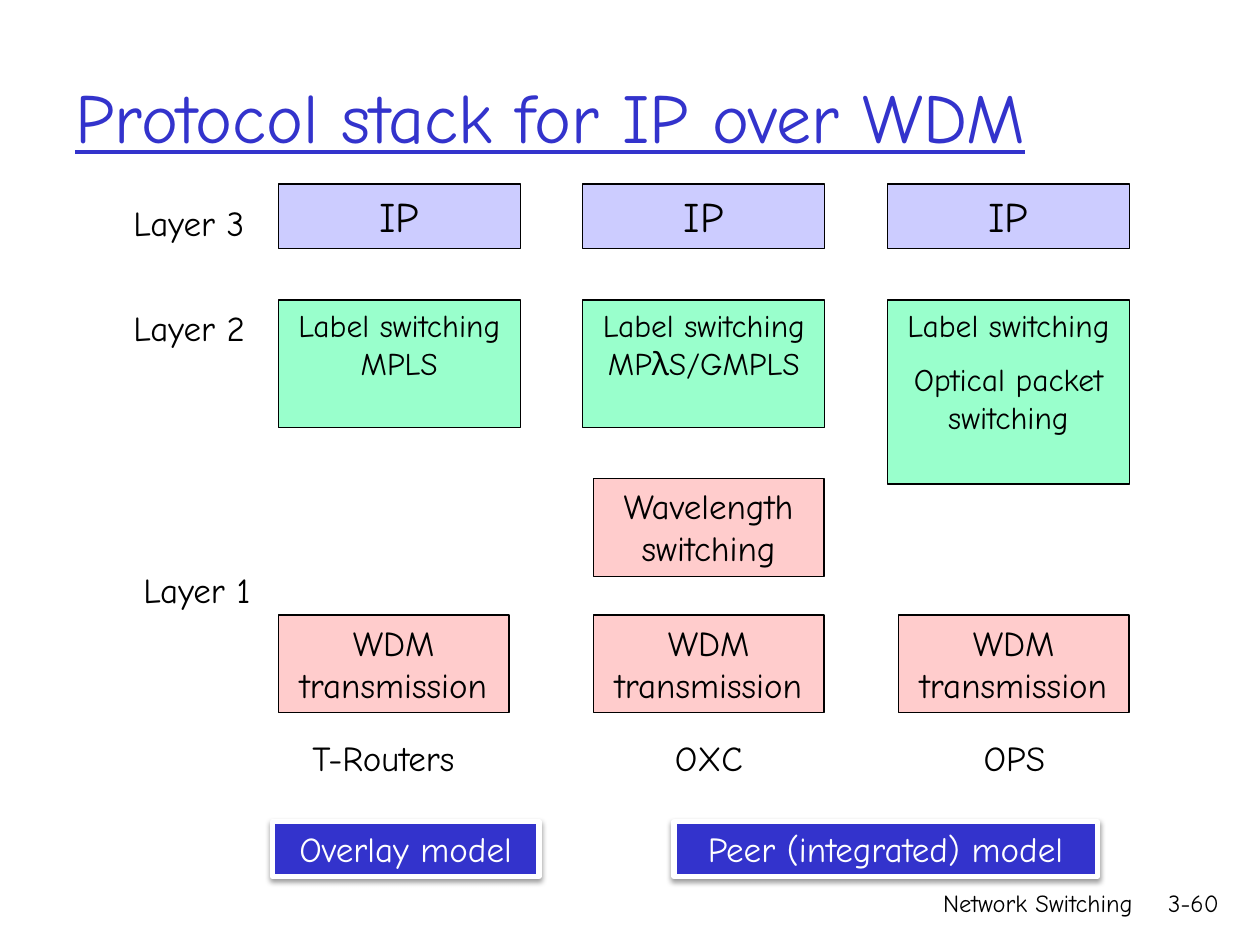
from lxml.etree import SubElement
from pptx import Presentation
from pptx.dml.color import RGBColor
from pptx.enum.shapes import MSO_SHAPE
from pptx.enum.text import MSO_ANCHOR, MSO_AUTO_SIZE, PP_ALIGN
from pptx.oxml.ns import qn
from pptx.util import Cm, Pt


def color(value):
    return RGBColor.from_string(value)


def add_box(text, place, size, fill=None, ink="000000", line="000000", weight=0.75,
            align=PP_ALIGN.LEFT, grow=True, underline=None):
    lengths = [Cm(length) for length in place]
    if fill:
        box = page.shapes.add_shape(MSO_SHAPE.RECTANGLE, *lengths)
        box.shadow.inherit = False
        box.fill.solid()
        box.fill.fore_color.rgb = color(fill)
        box.line.color.rgb = color(line)
        box.line.width = Pt(weight)
    else:
        box = page.shapes.add_textbox(*lengths)
    frame = box.text_frame
    frame_format = {
        "word_wrap": True,
        "vertical_anchor": MSO_ANCHOR.TOP,
        "auto_size": MSO_AUTO_SIZE.SHAPE_TO_FIT_TEXT if grow else MSO_AUTO_SIZE.NONE,
    }
    for name, value in frame_format.items():
        setattr(frame, name, value)
    for index, words in enumerate(text.split("\n")):
        para = frame.add_paragraph() if index else frame.paragraphs[0]
        para.alignment = align
        para.space_before = Pt(size / 2 if index else 0)
        span = para.add_run()
        span.text = words
        span.font.color.rgb = color(ink)
        font_format = {"name": "Comic Neue", "size": Pt(size), "underline": underline}
        for name, value in font_format.items():
            setattr(span.font, name, value)
    return box


deck = Presentation()
deck.slide_width, deck.slide_height = Cm(25.4), Cm(19.05)
page = deck.slides.add_slide(deck.slide_layouts[6])

title = add_box("Protocol stack for IP over WDM", (1.27, 1.27, 23.06, 2.11), 40,
                ink="3333CC", grow=False, underline=True)
title.text_frame.vertical_anchor = MSO_ANCHOR.MIDDLE

stacks = [
    ("Label switching MPLS", 2.57),
    ("Label switching MPλS/GMPLS", 2.57),
    ("Label switching\nOptical packet switching", 3.71),
]
for column, (switching, height) in enumerate(stacks):
    left = 5.61 + 6.14 * column
    add_box("IP", (left, 3.71, 4.88, 1.3), 24, "CCCCFF", align=PP_ALIGN.CENTER)
    add_box(switching, (left, 6.05, 4.88, height), 18, "99FFCC",
            align=PP_ALIGN.CENTER, grow=False)

optical_boxes = [
    ("Wavelength switching", 11.96, 9.65),
    ("WDM transmission", 5.61, 12.4),
    ("WDM transmission", 11.96, 12.4),
    ("WDM transmission", 18.11, 12.4),
]
for text, left, top in optical_boxes:
    add_box(text, (left, top, 4.65, 1.97), 20, "FFCCCC", align=PP_ALIGN.CENTER)

labels = [
    ("Layer 3", 2.44, 3.94, 3.48, PP_ALIGN.LEFT),
    ("Layer 2", 2.44, 6.05, 3.33, PP_ALIGN.LEFT),
    ("Layer 1", 2.64, 11.33, 2.97, PP_ALIGN.LEFT),
    ("T-Routers", 6.05, 14.73, 4.39, PP_ALIGN.LEFT),
    ("OXC", 12.6, 14.73, 3.38, PP_ALIGN.CENTER),
    ("OPS", 19.58, 14.73, 2.34, PP_ALIGN.LEFT),
]
for text, left, top, width, align in labels:
    add_box(text, (left, top, width, 1.11), 20, align=align)

for text, left, width in [("Network Switching", 15.04, 8.05), ("3-60", 22.81, 2.01)]:
    add_box(text, (left, 17.78, width, 1.27), 14, align=PP_ALIGN.RIGHT, grow=False)

models = [("Overlay model", 5.49, 5.38), ("Peer (integrated) model", 13.59, 8.53)]
for text, left, width in models:
    model = add_box(text, (left, 16.56, width, 1.11), 20, "3333CC", "FFFFFF", "FFFFFF", 3,
                    PP_ALIGN.CENTER)
    effects = model.element.spPr.find(qn("a:effectLst"))
    shadow = SubElement(effects, qn("a:outerShdw"), blurRad="40000", dist="20000",
                        dir="5400000", rotWithShape="0")
    shade = SubElement(shadow, qn("a:srgbClr"), val="000000")
    SubElement(shade, qn("a:alpha"), val="38000")

deck.save("out.pptx")
